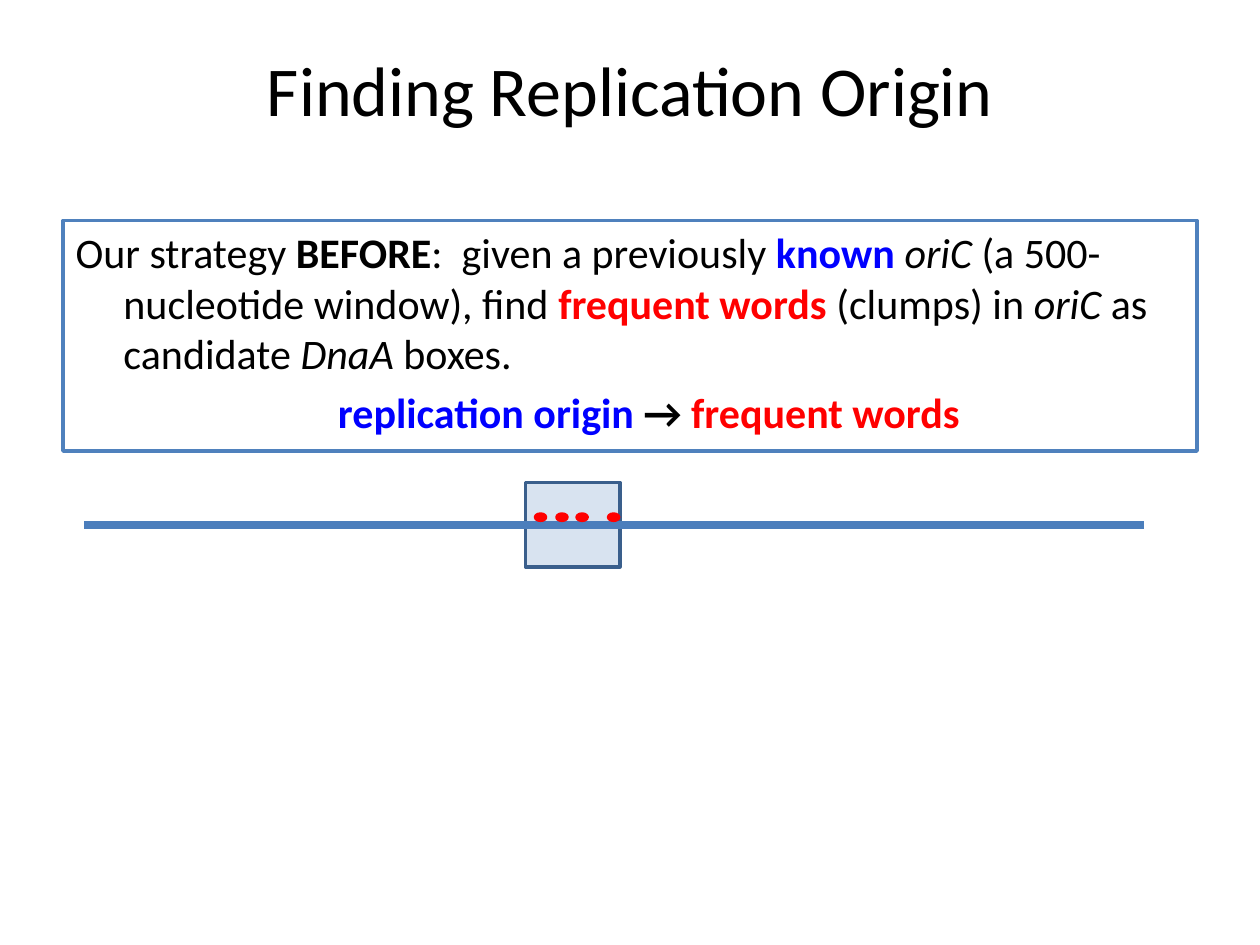
from lxml import etree
from pptx import Presentation, util as u
from pptx.dml.color import RGBColor
from pptx.enum import shapes, text
from pptx.oxml.ns import qn

BLACK, BLUE, RED = "000000", "0000FF", "FF0000"


def color(value):
    return RGBColor.from_string(value)


def add_text(para, words, size=24, ink=BLACK, bold=False, italic=False):
    span = para.add_run()
    span.text = words
    font = span.font
    font.name, font.size = "Calibri", u.Pt(size)
    font.bold, font.italic = bold, italic
    font.color.rgb = color(ink)


class SlideBuilder:
    """Holds the slide being built and the style of its parts."""

    accent = "4F81BD"

    def __init__(self, page):
        self.page = page

    def place(self, item, left, top, width, height):
        item.left, item.top = u.Inches(left), u.Inches(top)
        item.width, item.height = u.Inches(width), u.Inches(height)

    def title(self, words, *area):
        box = self.page.shapes.title
        self.place(box, *area)
        box.text_frame.vertical_anchor = text.MSO_ANCHOR.MIDDLE
        para = box.text_frame.paragraphs[0]
        para.alignment = text.PP_ALIGN.CENTER
        add_text(para, words, size=40)

    def body(self, *area):
        box = self.page.placeholders[1]
        self.place(box, *area)
        self.paint(box, "FFFFFF", self.accent)
        frame = box.text_frame
        frame.word_wrap = True
        frame.auto_size = text.MSO_AUTO_SIZE.NONE
        return frame

    def paragraph(self, para, spans, margin, indent=0, before=0, align=text.PP_ALIGN.LEFT):
        settings = para._p.get_or_add_pPr()
        settings.set("marL", str(u.Inches(margin)))
        settings.set("indent", str(u.Inches(indent)))
        etree.SubElement(settings, qn("a:buNone"))
        para.space_before = u.Pt(before)
        para.alignment = align
        for words, style in spans:
            add_text(para, words, **style)

    def paint(self, item, fill, line, width=2, opacity=100):
        item.fill.solid()
        item.fill.fore_color.rgb = color(fill)
        item.line.color.rgb = color(line)
        item.line.width = u.Pt(width)
        if opacity < 100:
            tone = item.fill._xPr.find(qn("a:solidFill"))[0]
            etree.SubElement(tone, qn("a:alpha"), val=str(opacity * 1000))

    def shape(self, kind, left, top, width, height, **paint):
        lengths = [u.Inches(value) for value in (left, top, width, height)]
        item = self.page.shapes.add_shape(kind, *lengths)
        item.shadow.inherit = False
        self.paint(item, **paint)

    def line(self, left, right, y, ink, width):
        item = self.page.shapes.add_connector(
            shapes.MSO_CONNECTOR.STRAIGHT,
            u.Inches(left), u.Inches(y), u.Inches(right), u.Inches(y))
        item.line.color.rgb = color(ink)
        item.line.width = u.Pt(width)
        etree.SubElement(item._element.spPr, qn("a:effectLst"))


def main():
    deck = Presentation()
    deck.slide_width, deck.slide_height = u.Inches(10), u.Inches(7.5)
    slide = SlideBuilder(deck.slides.add_slide(deck.slide_layouts[1]))

    slide.title("Finding Replication Origin", 0.5, 0.08, 9, 1.25)

    plain, strong, italic = {}, {"bold": True}, {"italic": True}
    known = {"bold": True, "ink": BLUE}
    found = {"bold": True, "ink": RED}
    frame = slide.body(0.5, 1.75, 9, 1.83)
    slide.paragraph(frame.paragraphs[0], [
        ("Our strategy ", plain), ("BEFORE", strong),
        (":  given a previously ", plain), ("known ", known),
        ("oriC ", italic), ("(a 500-nucleotide window), find ", plain),
        ("frequent words ", found), ("(clumps) in ", plain),
        ("oriC", italic), (" as candidate ", plain),
        ("DnaA", italic), (" boxes.", plain),
    ], margin=0.38, indent=-0.38)
    slide.paragraph(frame.add_paragraph(), [
        ("replication origin ", known), ("→ ", strong), ("frequent words", found),
    ], margin=0.3, before=4.8, align=text.PP_ALIGN.CENTER)

    # Genome with the oriC window and the frequent words inside it
    slide.shape(shapes.MSO_SHAPE.RECTANGLE, 4.17, 3.83, 0.75, 0.67,
                fill=slide.accent, line="3A5F8C", opacity=22)
    slide.line(0.67, 9.08, 4.17, ink="4B7EBC", width=4.5)
    for left in (4.25, 4.42, 4.58, 4.83):
        slide.shape(shapes.MSO_SHAPE.OVAL, left, 4.08, 0.08, 0.05, fill=RED, line=RED)

    deck.save("out.pptx")


if __name__ == "__main__":
    main()
